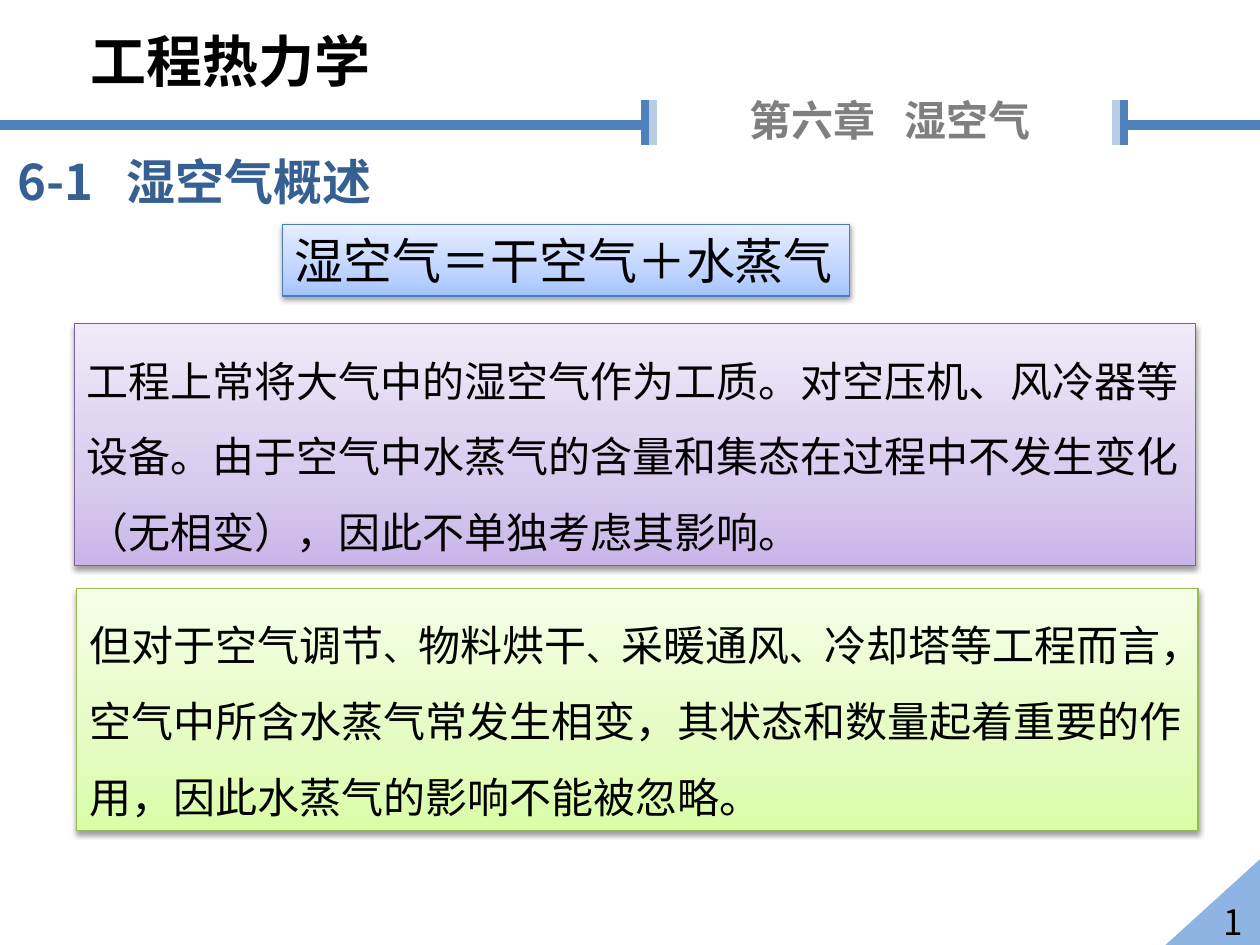
from copy import deepcopy

from lxml import etree
from pptx import Presentation
from pptx.dml.color import RGBColor
from pptx.enum.shapes import MSO_CONNECTOR, MSO_SHAPE
from pptx.enum.text import MSO_ANCHOR, MSO_AUTO_SIZE, PP_ALIGN
from pptx.oxml.ns import qn
from pptx.util import Pt

STRAIGHT = MSO_CONNECTOR.STRAIGHT
RECTANGLE, TRIANGLE = MSO_SHAPE.RECTANGLE, MSO_SHAPE.ISOSCELES_TRIANGLE
TOP, MIDDLE = MSO_ANCHOR.TOP, MSO_ANCHOR.MIDDLE
LEFT, CENTER = PP_ALIGN.LEFT, PP_ALIGN.CENTER
NO_AUTOFIT = MSO_AUTO_SIZE.NONE

FONT = "Noto Sans CJK SC"
COLORS = {
    "rule": "4F81BD", "rule_light": "B9CDE5", "corner": "8EB4E3",
    "chapter": "7F7F7F", "heading": "376092", "text": "000000",
}
# Outline, then the gradient from bottom to top
PANELS = {
    "blue": ("4B7EBC", ("A4C4FF", "BFD4FF", "E6EEFF")),
    "purple": ("7D60A0", ("C9B5E8", "D8CBEE", "F0EAF9")),
    "green": ("98B955", ("DAFDA7", "E4FCC2", "F5FFE7")),
}
GRADIENT_POSITIONS = (0, 0.35, 1)
RULE_Y = 71.3


def rgb(name):
    return RGBColor.from_string(COLORS[name])


def set_east_asian_font(properties):
    east_asian = etree.SubElement(properties, qn("a:ea"))
    east_asian.set("typeface", FONT)


def write(shape, spans, color="text", bold=False, align=LEFT,
          anchor=TOP, spacing=None, wrap=True):
    """Fill a shape with one paragraph of (text, size) spans."""
    frame = shape.text_frame
    frame.auto_size = NO_AUTOFIT
    frame.word_wrap = wrap
    frame.vertical_anchor = anchor
    para = frame.paragraphs[0]
    para.alignment = align
    if spacing:
        para.line_spacing = spacing
    para.font.name = FONT
    para.font.bold = bold
    para.font.color.rgb = rgb(color)
    para.font.size = Pt(spans[0][1])
    for text, size in spans:
        span = para.add_run()
        span.text = text
        span.font.size = Pt(size)
        span.font.name = FONT
        set_east_asian_font(span.font._element)


def add_label(page, bounds, text, size, **style):
    box = page.shapes.add_textbox(*map(Pt, bounds))
    write(box, [(text, size)], **style)


def add_heading(page, bounds, text, size, **style):
    title = page.shapes.title
    title.left, title.top, title.width, title.height = map(Pt, bounds)
    write(title, [(text, size)], **style)


def add_rule(page, start, end, color, width):
    line = page.shapes.add_connector(STRAIGHT, *map(Pt, start + end))
    line.line.color.rgb = rgb(color)
    line.line.width = Pt(width)
    etree.SubElement(line._element.spPr, qn("a:effectLst"))


def add_corner(page):
    corner = page.shapes.add_shape(TRIANGLE, Pt(666), Pt(491), Pt(108), Pt(49))
    corner.shadow.inherit = False
    corner.fill.solid()
    corner.fill.fore_color.rgb = rgb("corner")
    corner.line.fill.background()


def add_header_rules(page):
    add_rule(page, (642, RULE_Y), (720, RULE_Y), "rule", 6)
    for x, color in ((368.6, "rule"), (642.2, "rule"),
                     (373, "rule_light"), (637.9, "rule_light")):
        add_rule(page, (x, 57), (x, 82.8), color, 4.5)
    add_rule(page, (0, RULE_Y), (370, RULE_Y), "rule", 6)


def fill_gradient(shape, colors):
    shape.fill.gradient()
    shape.fill.gradient_angle = 90
    stop_list = shape._element.spPr.find(".//" + qn("a:gsLst"))
    stop_list.append(deepcopy(stop_list[-1]))
    for stop, position, color in zip(
            shape.fill.gradient_stops, GRADIENT_POSITIONS, colors):
        stop.position = position
        stop.color.rgb = RGBColor.from_string(color)


def add_drop_shadow(shape):
    shape.shadow.inherit = False
    effects = shape._element.spPr.find(qn("a:effectLst"))
    shadow = etree.SubElement(
        effects, qn("a:outerShdw"), blurRad=str(Pt(3.1)), dist=str(Pt(1.6)),
        dir="5400000", rotWithShape="0")
    color = etree.SubElement(shadow, qn("a:srgbClr"), val=COLORS["text"])
    etree.SubElement(color, qn("a:alpha"), val="38000")


def add_panel(page, bounds, palette, spans, **style):
    outline, colors = PANELS[palette]
    panel = page.shapes.add_shape(RECTANGLE, *map(Pt, bounds))
    fill_gradient(panel, colors)
    panel.line.color.rgb = RGBColor.from_string(outline)
    panel.line.width = Pt(0.75)
    add_drop_shadow(panel)
    write(panel, spans, **style)


def main():
    deck = Presentation()
    deck.slide_width, deck.slide_height = Pt(720), Pt(540)
    page = deck.slides.add_slide(deck.slide_layouts[5])

    add_corner(page)
    add_label(page, (376.6, 50.4, 264.2, 36), "第六章   湿空气", 24,
              color="chapter", bold=True, align=CENTER)
    add_header_rules(page)
    add_label(page, (44.6, 11.5, 201.6, 46), "工程热力学", 32, bold=True)
    add_heading(page, (2.9, 82.8, 253.4, 41), "6-1   湿空气概述", 28,
                color="heading", bold=True)
    add_label(page, (692, 511.2, 39.6, 31.7), "1", 20)

    add_panel(page, (161.3, 128.2, 324, 41), "blue",
              [("湿空气＝干空气＋水蒸气", 28)], anchor=MIDDLE, wrap=False)
    add_panel(page, (42.5, 185, 640.8, 138.3), "purple",
              [("工程上常将大气中的湿空气作为工质。对空压机、风冷器等设备。"
                "由于空气中水蒸气的含量和集态在过程中不发生变化（无相变），"
                "因此不单独考虑其影响。", 24)], spacing=1.5)
    comma = ("、", 20)
    add_panel(page, (43.9, 336.3, 640.8, 138.3), "green",
              [("但对于空气调节", 24), comma, ("物料烘干", 24), comma,
               ("采暖通风", 24), comma,
               ("冷却塔等工程而言，空气中所含水蒸气常发生相变，"
                "其状态和数量起着重要的作用，因此水蒸气的影响不能被忽略。", 24)],
              spacing=1.5)

    deck.save("out.pptx")


if __name__ == "__main__":
    main()
